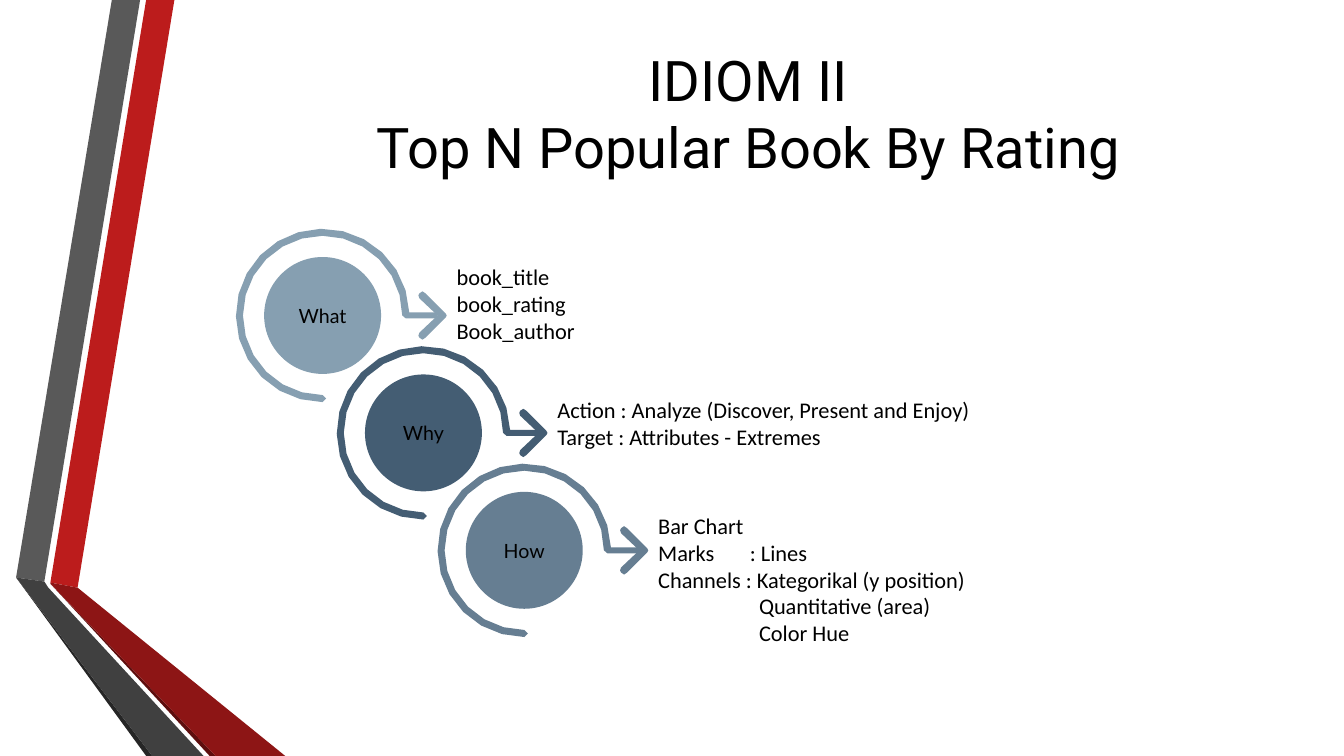
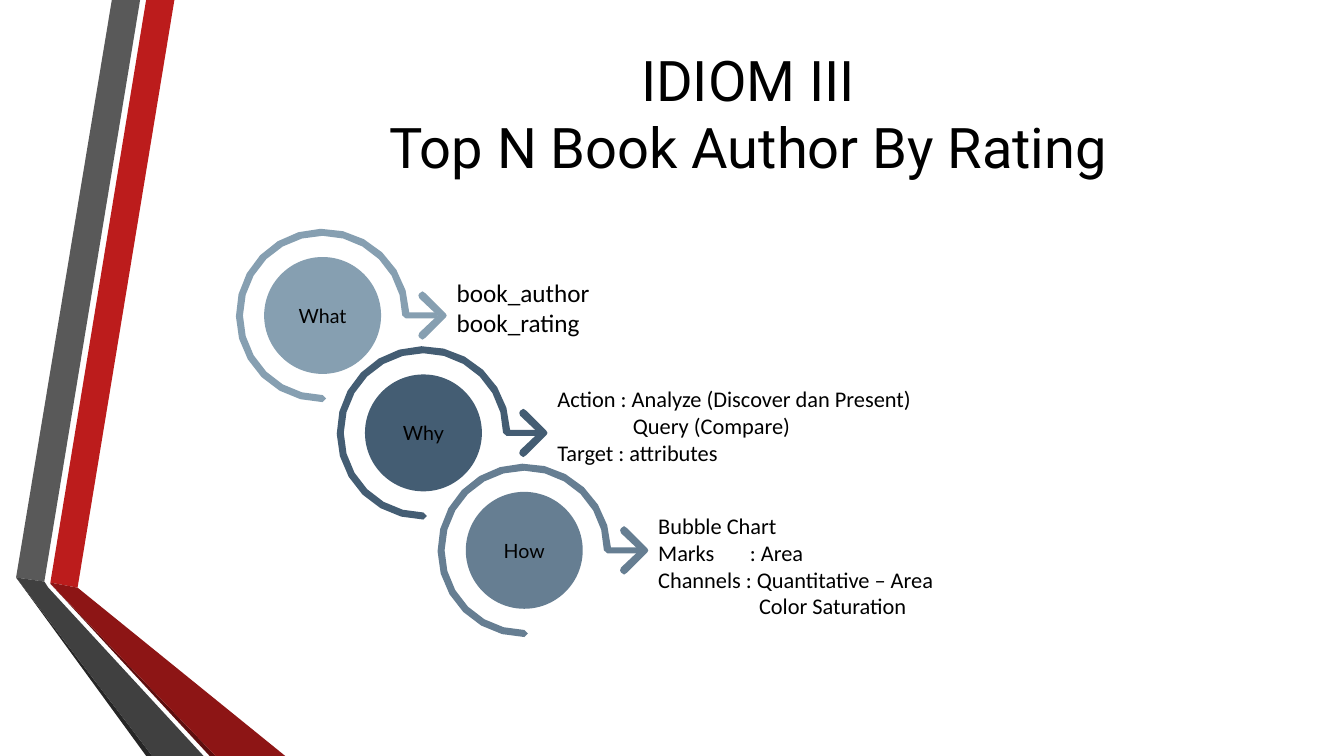
from dataclasses import dataclass
from math import cos, radians, sin

from lxml import etree
from pptx import Presentation
from pptx.dml.color import RGBColor
from pptx.enum.shapes import MSO_SHAPE
from pptx.enum.text import MSO_ANCHOR, MSO_AUTO_SIZE, PP_ALIGN
from pptx.oxml.ns import qn
from pptx.util import Inches, Pt

OVAL = MSO_SHAPE.OVAL
MIDDLE = MSO_ANCHOR.MIDDLE
GROW = MSO_AUTO_SIZE.SHAPE_TO_FIT_TEXT
LEFT, CENTER = PP_ALIGN.LEFT, PP_ALIGN.CENTER


@dataclass(frozen=True)
class Theme:
    text: str = "000000"
    background: str = "FFFFFF"
    red: str = "BC1C1C"
    red_fold: str = "8D1515"
    red_edge: str = "5E0E0E"
    gray: str = "595959"
    gray_fold: str = "404040"
    gray_edge: str = "262626"
    steps: tuple = ("869FB1", "445D73", "667E92")
    title_font: str = "Roboto"
    step_font: str = "Lato"
    answer_font: str = "Calibri"
    title_size: int = 40
    step_size: int = 14
    answer_size: int = 16
    large_answer_size: int = 18


@dataclass(frozen=True)
class Box:
    left: float
    top: float
    width: float
    height: float

    def lengths(self):
        return [Inches(v) for v in (self.left, self.top, self.width, self.height)]


@dataclass(frozen=True)
class Answer:
    lines: tuple
    rise: float
    width: float
    height: float
    size: int = Theme.answer_size
    indent: float = 0
    indented: tuple = ()
    colon: float = 0


THEME = Theme()
SLIDE = Box(0, 0, 13.33, 7.5)
TITLE = Box(1.94, 0.16, 10.96, 1.92)
DIAGRAM = Box(2.34, 2.27, 10.77, 4.05)

BANDS = (
    (THEME.red, ((0.5, 5.78), (0.77, 5.83), (1.73, 0), (1.45, 0))),
    (THEME.gray, ((1.39, 0), (1.11, 0), (0.16, 5.73), (0.44, 5.77))),
    (THEME.gray_edge, ((0.16, 5.73), (1.45, 7.5), (1.51, 7.5))),
    (THEME.red_edge, ((0.5, 5.79), (2.08, 7.5), (2.14, 7.5))),
    (THEME.red_fold, ((0.5, 5.78), (0.5, 5.79), (2.14, 7.5), (2.83, 7.5), (0.77, 5.83))),
    (THEME.gray_fold, ((2.02, 7.5), (0.48, 5.83), (0.44, 5.77), (0.16, 5.73), (1.51, 7.5))),
)

QUESTIONS = ("What", "Why", "How")
STEP_RIGHT = 1.0
DISC_RADIUS = 0.58
RING_OUTER, RING_INNER = 0.86, 0.79
STEM_HALF, STEM_END = 0.03, 1.14
ARC_PARTS, CAP_PARTS = 18, 2
ANSWER_OFFSET = 1.23
ARROW_HALF = (
    (1.23, 0), (1.22, -0.02), (1.02, -0.22), (0.99, -0.24), (0.96, -0.22),
    (0.95, -0.2), (0.96, -0.17), (1.14, 0),
)

IDIOMS = (
    ("IDIOM II\vTop N Popular Book By Rating", (
        Answer(("book_title", "book_rating", "Book_author"), 0.57, 3.21, 1.25),
        Answer(("Action : Analyze (Discover, Present and Enjoy)",
                "Target : Attributes - Extremes"), 0.41, 4.67, 1.25),
        Answer(("Bar Chart", "Marks\t: Lines", "Channels : Kategorikal (y position)",
                "Quantitative (area)", "Color Hue"),
               0.43, 6.67, 1.45, indent=1, indented=(3, 4), colon=0.91),
    )),
    ("IDIOM III\vTop N Book Author By Rating", (
        Answer(("book_author", "book_rating"), 0.43, 3.21, 1.01, THEME.large_answer_size),
        Answer(("Action : Analyze (Discover dan Present)", "Query (Compare)",
                "Target : attributes"), 0.52, 3.86, 1.51, indent=0.75, indented=(1,)),
        Answer(("Bubble Chart", "Marks\t: Area", "Channels : Quantitative – Area",
                "Color Saturation"),
               0.43, 6.67, 1.18, indent=1, indented=(3,), colon=0.91),
    )),
)


def paint(shape, color):
    shape.shadow.inherit = False
    shape.fill.solid()
    shape.fill.fore_color.rgb = RGBColor.from_string(color)
    shape.line.fill.background()


def draw_outline(slide, origin, points, color):
    places = [(Inches(origin[0] + x), Inches(origin[1] + y)) for x, y in points]
    builder = slide.shapes.build_freeform(*places[0], scale=1.0)
    builder.add_line_segments(places[1:], close=True)
    paint(builder.convert_to_shape(), color)


def format_text(frame, font, size, align):
    for paragraph in frame.paragraphs:
        paragraph.alignment = align
        for run in paragraph.runs:
            run.font.name = font
            run.font.size = Pt(size)
            run.font.color.rgb = RGBColor.from_string(THEME.text)


def arc(radius, start, end, center=(0, 0), parts=ARC_PARTS):
    angles = [radians(start + (end - start) * i / parts) for i in range(parts + 1)]
    return [(center[0] + radius * cos(a), center[1] + radius * sin(a)) for a in angles]


def ring_points():
    middle = (RING_OUTER + RING_INNER) / 2
    cap = (RING_OUTER - RING_INNER) / 2
    stem = [(STEM_END, -STEM_HALF), (STEM_END, STEM_HALF), (middle, STEM_HALF)]
    cap_middle = arc(cap, -90, 90, (0, middle), CAP_PARTS)[1:-1]
    return arc(RING_OUTER, 90, 358) + stem + arc(RING_INNER, 360, 90) + cap_middle


def arrow_points():
    return ARROW_HALF + tuple((x, -y) for x, y in ARROW_HALF[-2:0:-1])


def draw_bands(slide, box):
    for color, points in BANDS:
        draw_outline(slide, (box.left, box.top), points, color)


def draw_title(slide, box, title):
    frame = slide.shapes.add_textbox(*box.lengths()).text_frame
    frame.word_wrap = True
    frame.vertical_anchor = MIDDLE
    frame.text = title
    format_text(frame, THEME.title_font, THEME.title_size, CENTER)


def draw_answer(slide, box, answer):
    frame = slide.shapes.add_textbox(*box.lengths()).text_frame
    frame.word_wrap = True
    frame.auto_size = GROW
    frame.text = "\n".join(answer.lines)
    format_text(frame, THEME.answer_font, answer.size, LEFT)
    for index, paragraph in enumerate(frame.paragraphs):
        properties = paragraph._p.get_or_add_pPr()
        if index in answer.indented:
            properties.set("marL", str(Inches(answer.indent)))
        if "\t" in answer.lines[index]:
            stops = etree.SubElement(properties, qn("a:tabLst"))
            etree.SubElement(stops, qn("a:tab"), pos=str(Inches(answer.colon)), algn="l")


def draw_step(slide, center, question, color):
    x, y = center
    disc_box = Box(x - DISC_RADIUS, y - DISC_RADIUS, 2 * DISC_RADIUS, 2 * DISC_RADIUS)
    disc = slide.shapes.add_shape(OVAL, *disc_box.lengths())
    paint(disc, color)
    frame = disc.text_frame
    frame.vertical_anchor = MIDDLE
    frame.text = question
    format_text(frame, THEME.step_font, THEME.step_size, CENTER)
    draw_outline(slide, center, ring_points(), color)
    draw_outline(slide, center, arrow_points(), color)


def draw_diagram(slide, box, answers):
    step_down = (box.height - 2 * RING_OUTER) / (len(QUESTIONS) - 1)
    centers = [(box.left + RING_OUTER + i * STEP_RIGHT, box.top + RING_OUTER + i * step_down)
               for i in range(len(QUESTIONS))]
    for step in reversed(list(zip(centers, QUESTIONS, THEME.steps))):
        draw_step(slide, *step)
    for (x, y), answer in zip(centers, answers):
        answer_box = Box(x + ANSWER_OFFSET, y - answer.rise, answer.width, answer.height)
        draw_answer(slide, answer_box, answer)


def draw_idiom(deck, title, answers):
    slide = deck.slides.add_slide(deck.slide_layouts[6])
    slide.background.fill.solid()
    slide.background.fill.fore_color.rgb = RGBColor.from_string(THEME.background)
    draw_bands(slide, SLIDE)
    draw_title(slide, TITLE, title)
    draw_diagram(slide, DIAGRAM, answers)


deck = Presentation()
deck.slide_width, deck.slide_height = Inches(SLIDE.width), Inches(SLIDE.height)
for title, answers in IDIOMS:
    draw_idiom(deck, title, answers)
deck.save("out.pptx")
